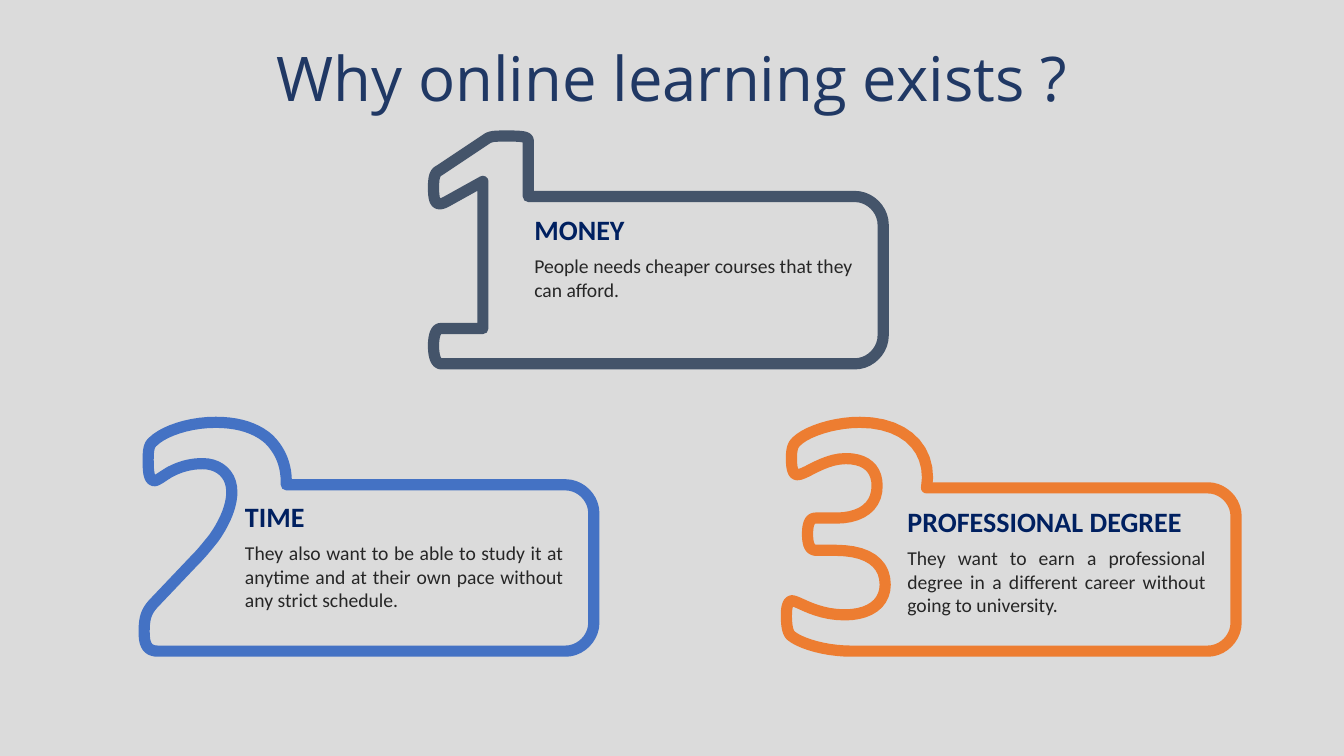
from pptx import Presentation
from pptx.dml.color import RGBColor
from pptx.enum import text as t
from pptx.util import Inches, Pt

GREY = RGBColor(0xDB, 0xDB, 0xDB)
NAVY = RGBColor(0x20, 0x38, 0x64)
DEEP = RGBColor(0x00, 0x20, 0x60)
INK = RGBColor(0x26, 0x26, 0x26)
SLATE = RGBColor(0x44, 0x54, 0x6A)
BLUE = RGBColor(0x44, 0x72, 0xC4)
ORANGE = RGBColor(0xED, 0x7D, 0x31)

# Digit outlines, clockwise from the panel's bottom edge, in inches
ONE = """L 4.37 3.61 C 4.32 3.6 4.3 3.53 4.3 3.43 C 4.3 3.34 4.32 3.26 4.37 3.26
L 4.79 3.26 L 4.79 1.8 L 4.43 2 C 4.32 2.06 4.3 2 4.3 1.86
C 4.3 1.74 4.32 1.71 4.36 1.69 L 4.84 1.37 C 4.88 1.35 4.93 1.35 5.04 1.35
C 5.2 1.35 5.24 1.36 5.24 1.4"""
TWO = """L 1.57 6.46 C 1.47 6.46 1.43 6.41 1.43 6.27 C 1.43 6.13 1.45 6.06 1.54 5.97
L 1.93 5.56 C 2.01 5.48 2.07 5.4 2.12 5.34 C 2.24 5.17 2.3 5.01 2.3 4.88
C 2.3 4.71 2.18 4.6 2.01 4.6 C 1.87 4.6 1.77 4.64 1.69 4.68
C 1.62 4.72 1.56 4.77 1.53 4.77 C 1.48 4.76 1.47 4.7 1.47 4.56
C 1.47 4.46 1.48 4.41 1.52 4.38 C 1.62 4.28 1.87 4.19 2.14 4.19
C 2.37 4.19 2.55 4.25 2.67 4.36 C 2.78 4.47 2.84 4.61 2.84 4.78"""
THREE = """L 8.44 6.46 C 8.2 6.46 7.95 6.39 7.85 6.31 C 7.81 6.28 7.8 6.2 7.8 6.1
C 7.8 6.01 7.82 5.96 7.86 5.96 C 7.93 5.97 8.1 6.1 8.38 6.1
C 8.62 6.1 8.78 5.99 8.78 5.8 C 8.78 5.58 8.6 5.46 8.29 5.46
L 8.1 5.46 C 8.03 5.46 8.01 5.4 8.01 5.3 C 8.01 5.2 8.03 5.14 8.09 5.14
L 8.29 5.14 C 8.55 5.14 8.7 5.02 8.7 4.82 C 8.7 4.65 8.59 4.55 8.39 4.55
C 8.17 4.55 7.99 4.71 7.91 4.71 C 7.87 4.71 7.85 4.66 7.85 4.55
C 7.85 4.44 7.87 4.41 7.9 4.38 C 8 4.28 8.27 4.19 8.53 4.19
C 8.93 4.19 9.2 4.4 9.2 4.74"""

# Digit, panel (left, top, right, bottom), colour, insets (left, bottom), head, body
CARDS = [
    (ONE, (5.24, 1.95, 8.76, 3.61), SLATE, (1, 0.62), "MONEY",
     "People needs cheaper courses that they can afford."),
    (TWO, (2.84, 4.81, 5.89, 6.46), BLUE, (1, 0.39), "TIME",
     "They also want to be able to study it at anytime and at their own pace "
     "without any strict schedule."),
    (THREE, (9.19, 4.84, 12.26, 6.46), ORANGE, (1.2, 0.34), "PROFESSIONAL DEGREE",
     "They want to earn a professional degree in a different career without "
     "going to university."),
]


def edge(panel):
    """Outline commands for a panel's top, round right corners and bottom."""
    _, top, right, low = panel
    r, k = 0.28, 0.13
    return (f"L {right - r} {top} C {right - k} {top} {right} {top + k} {right} {top + r} "
            f"L {right} {low - r} C {right} {low - k} {right - k} {low} {right - r} {low} ")


def trace(start, route, steps=10):
    """Turn line and cubic curve commands into points."""
    points = [start]
    for part in route.replace("C", "|").replace("L", "|").split("|")[1:]:
        nums = [float(n) for n in part.split()]
        if len(nums) == 2:
            points.append(tuple(nums))
            continue
        knots = [points[-1], *zip(nums[::2], nums[1::2])]
        for i in range(1, steps + 1):
            s = i / steps
            parts = ((1 - s) ** 3, 3 * s * (1 - s) ** 2, 3 * s * s * (1 - s), s ** 3)
            points.append(tuple(sum(w * p[axis] for w, p in zip(parts, knots))
                                for axis in (0, 1)))
    return points


def style(para, words, size, color, bold=False):
    para.text = words
    para.alignment = t.PP_ALIGN.JUSTIFY
    font = para.font
    font.name, font.size, font.bold = "Calibri", Pt(size), bold
    font.color.rgb = color


def add_card(slide, digit, panel, color, insets, head, body):
    points = [(Inches(x), Inches(y)) for x, y in trace(panel[:2], edge(panel) + digit)]
    pen = slide.shapes.build_freeform(*points[0])
    pen.add_line_segments(points[1:], close=True)
    card = pen.convert_to_shape()
    card.shadow.inherit = False
    card.fill.background()
    card.line.color.rgb = color
    card.line.width = Pt(8)
    frame = card.text_frame
    frame.word_wrap = True
    frame.vertical_anchor = t.MSO_ANCHOR.BOTTOM
    frame.margin_left, frame.margin_bottom = map(Inches, insets)
    frame.margin_top, frame.margin_right = Inches(0.05), Inches(0.3)
    style(frame.paragraphs[0], head, 20, DEEP, True)
    frame.paragraphs[0].space_after = Pt(6)
    style(frame.add_paragraph(), body, 14, INK)


def add_title(slide, words):
    title = slide.shapes.title
    title.left, title.top = Inches(0.92), Inches(0)
    title.width, title.height = Inches(11.5), Inches(1.62)
    frame = title.text_frame
    frame.text = words
    frame.vertical_anchor = t.MSO_ANCHOR.MIDDLE
    para = frame.paragraphs[0]
    para.alignment = t.PP_ALIGN.CENTER
    para.line_spacing = 0.9
    para.font.name, para.font.size = "Open Sans", Pt(44)
    para.font.color.rgb = NAVY


def main():
    deck = Presentation()
    deck.slide_width, deck.slide_height = Inches(13.33), Inches(7.5)
    slide = deck.slides.add_slide(deck.slide_layouts[5])
    slide.background.fill.solid()
    slide.background.fill.fore_color.rgb = GREY
    add_title(slide, "Why online learning exists ?")
    for card in CARDS:
        add_card(slide, *card)
    deck.save("out.pptx")


if __name__ == "__main__":
    main()
